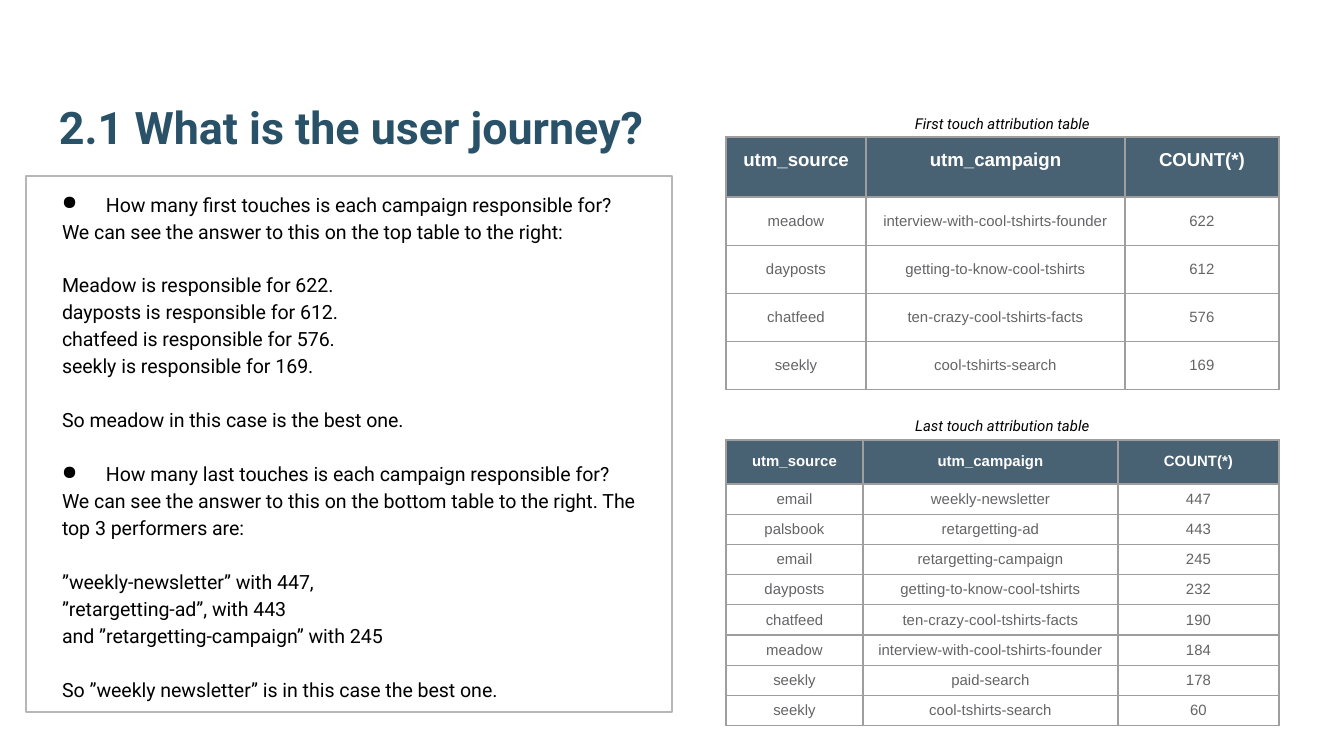
from dataclasses import dataclass

from lxml.etree import SubElement as Sub
from pptx import Presentation
from pptx.dml.color import RGBColor as RGB
from pptx.enum.shapes import MSO_SHAPE as Shape
from pptx.enum.text import MSO_ANCHOR as Anchor, MSO_AUTO_SIZE as Fit, PP_ALIGN as Align
from pptx.oxml import parse_xml
from pptx.oxml.ns import nsdecls, qn
from pptx.util import Emu, Pt

SCALE = 914400 / 134.4
HUES = {
    "title": "295269",
    "head": "204056",
    "grid": "9E9E9E",
    "frame": "B7B7B7",
    "cell": "646466",
    "text": "000000",
    "white": "FFFFFF",
}


@dataclass
class Line:
    text: str
    dot: bool = False
    gap: bool = False


@dataclass
class Grid:
    name: str
    label: int
    top: int
    cols: tuple[int, ...]
    head: int
    body: int
    size: int
    rows: list[tuple[str, str, str]]


LEFT, WIDTH, PAD = 726, 553, 13
HEADS = ("utm_source", "utm_campaign", "COUNT(*)")
LINES = [
    Line("How many first touches is each campaign responsible for?", dot=True),
    Line("We can see the answer to this on the top table to the right:"),
    Line("Meadow is responsible for 622.", gap=True),
    Line("dayposts is responsible for 612."),
    Line("chatfeed is responsible for 576."),
    Line("seekly is responsible for 169."),
    Line("So meadow in this case is the best one.", gap=True),
    Line("How many last touches is each campaign responsible for?", dot=True, gap=True),
    Line("We can see the answer to this on the bottom table to the right. The top 3 performers are:"),
    Line("”weekly-newsletter” with 447,", gap=True),
    Line("”retargetting-ad”, with 443"),
    Line("and ”retargetting-campaign” with 245"),
    Line("So ”weekly newsletter” is in this case the best one.", gap=True),
]
GRIDS = [
    Grid("First touch attribution table", 105, 137, (140, 259, 154), 60, 193, 10, [
        ("meadow", "interview-with-cool-tshirts-founder", "622"),
        ("dayposts", "getting-to-know-cool-tshirts", "612"),
        ("chatfeed", "ten-crazy-cool-tshirts-facts", "576"),
        ("seekly", "cool-tshirts-search", "169"),
    ]),
    Grid("Last touch attribution table", 407, 440, (137, 255, 161), 44, 242, 8, [
        ("email", "weekly-newsletter", "447"),
        ("palsbook", "retargetting-ad", "443"),
        ("email", "retargetting-campaign", "245"),
        ("dayposts", "getting-to-know-cool-tshirts", "232"),
        ("chatfeed", "ten-crazy-cool-tshirts-facts", "190"),
        ("meadow", "interview-with-cool-tshirts-founder", "184"),
        ("seekly", "paid-search", "178"),
        ("seekly", "cool-tshirts-search", "60"),
    ]),
]


def px(size: float) -> Emu:
    return Emu(round(size * SCALE))


def tint(hue: str) -> RGB:
    return RGB.from_string(HUES[hue])


def style(font, face: str, size: float, hue: str, bold: bool = False, slant: bool = False) -> None:
    font.name, font.size = face, Pt(size)
    font.bold, font.italic = bold, slant
    font.color.rgb = tint(hue)


def inset(item, side: int, edge: int) -> None:
    item.margin_left = item.margin_right = px(side)
    item.margin_top = item.margin_bottom = px(edge)


def add_title(slide, text: str) -> None:
    title = slide.shapes.title
    title.left, title.top, title.width, title.height = map(px, (46, 43, 1253, 124))
    frame = title.text_frame
    frame.text = text
    frame.auto_size = Fit.NONE
    frame.vertical_anchor = Anchor.BOTTOM
    inset(frame, PAD, PAD)
    para = frame.paragraphs[0]
    para.alignment = Align.LEFT
    style(para.font, "Roboto", 24, "title", bold=True)


def add_line(para, line: Line) -> None:
    para.text = line.text
    para.alignment = Align.LEFT
    para.line_spacing = 1.15
    if line.gap:
        para.space_before = Pt(14.4)
    props = para._p.get_or_add_pPr()
    props.set("marL", str(px(67 if line.dot else 23)))
    props.set("indent", str(px(-44 if line.dot else 0)))
    if line.dot:
        Sub(Sub(props, qn("a:buClr")), qn("a:srgbClr"), val=HUES["text"])
        Sub(props, qn("a:buChar"), char="●")
    style(para.font, "Roboto", 10.5, "text")


def add_panel(slide, lines: list[Line]) -> None:
    panel = slide.shapes.add_shape(Shape.RECTANGLE, *map(px, (26, 176, 646, 536)))
    panel.shadow.inherit = False
    panel.fill.background()
    panel.line.color.rgb = tint("frame")
    panel.line.width = Pt(0.75)
    frame = panel.text_frame
    frame.word_wrap = True
    frame.vertical_anchor = Anchor.TOP
    inset(frame, PAD, PAD)
    for spot, line in enumerate(lines):
        add_line(frame.add_paragraph() if spot else frame.paragraphs[0], line)


def add_label(slide, text: str, top: int) -> None:
    box = slide.shapes.add_textbox(*map(px, (LEFT, top, WIDTH, 34)))
    frame = box.text_frame
    frame.word_wrap = True
    para = frame.paragraphs[0]
    para.text = text
    para.alignment = Align.CENTER
    para.line_spacing = 1.15
    style(para.font, "Roboto", 8, "text", slant=True)


def add_edges(cell) -> None:
    props = cell._tc.get_or_add_tcPr()
    for spot, side in enumerate(("lnL", "lnR", "lnT", "lnB")):
        props.insert(spot, parse_xml(
            f'<a:{side} {nsdecls("a")} w="{Pt(0.75)}"><a:solidFill>'
            f'<a:srgbClr val="{HUES["grid"]}"/></a:solidFill></a:{side}>'
        ))


def fill_cell(cell, text: str, head: bool, size: int) -> None:
    cell.text = text
    para = cell.text_frame.paragraphs[0]
    para.alignment = Align.CENTER
    if head:
        inset(cell, PAD, PAD)
        cell.vertical_anchor = Anchor.TOP
        cell.fill.solid()
        cell.fill.fore_color.rgb = tint("head")
        color = next(cell._tc.tcPr.iter(qn("a:srgbClr")))
        Sub(color, qn("a:alpha"), val="82000")
        style(para.font, "Arial", size, "white", bold=True)
    else:
        inset(cell, PAD, 6)
        cell.vertical_anchor = Anchor.MIDDLE
        cell.fill.background()
        style(para.font, "Arial", 8, "cell")
    add_edges(cell)


def add_grid(slide, grid: Grid) -> None:
    rows = [HEADS, *grid.rows]
    area = map(px, (LEFT, grid.top, WIDTH, grid.head + grid.body))
    table = slide.shapes.add_table(len(rows), len(HEADS), *area).table
    table.first_row = table.horz_banding = False
    for col, width in zip(table.columns, grid.cols):
        col.width = px(width)
    for r, row in enumerate(rows):
        table.rows[r].height = px(grid.body / len(grid.rows) if r else grid.head)
        for c, text in enumerate(row):
            fill_cell(table.cell(r, c), text, r == 0, grid.size)


def main() -> None:
    deck = Presentation()
    deck.slide_width, deck.slide_height = px(1344), px(756)
    slide = deck.slides.add_slide(deck.slide_layouts[5])
    add_title(slide, "2.1 What is the user journey?")
    add_panel(slide, LINES)
    for grid in GRIDS:
        add_grid(slide, grid)
        add_label(slide, grid.name, grid.label)
    deck.save("out.pptx")


if __name__ == "__main__":
    main()
